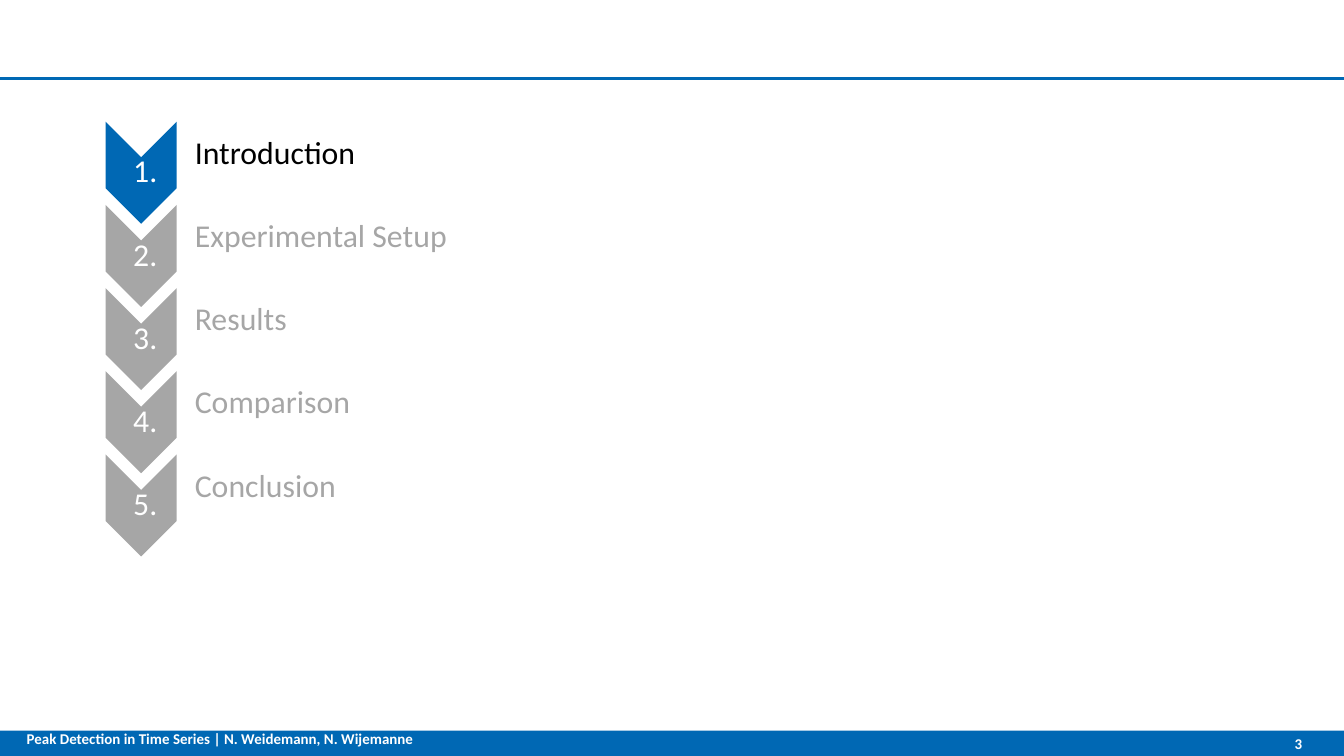
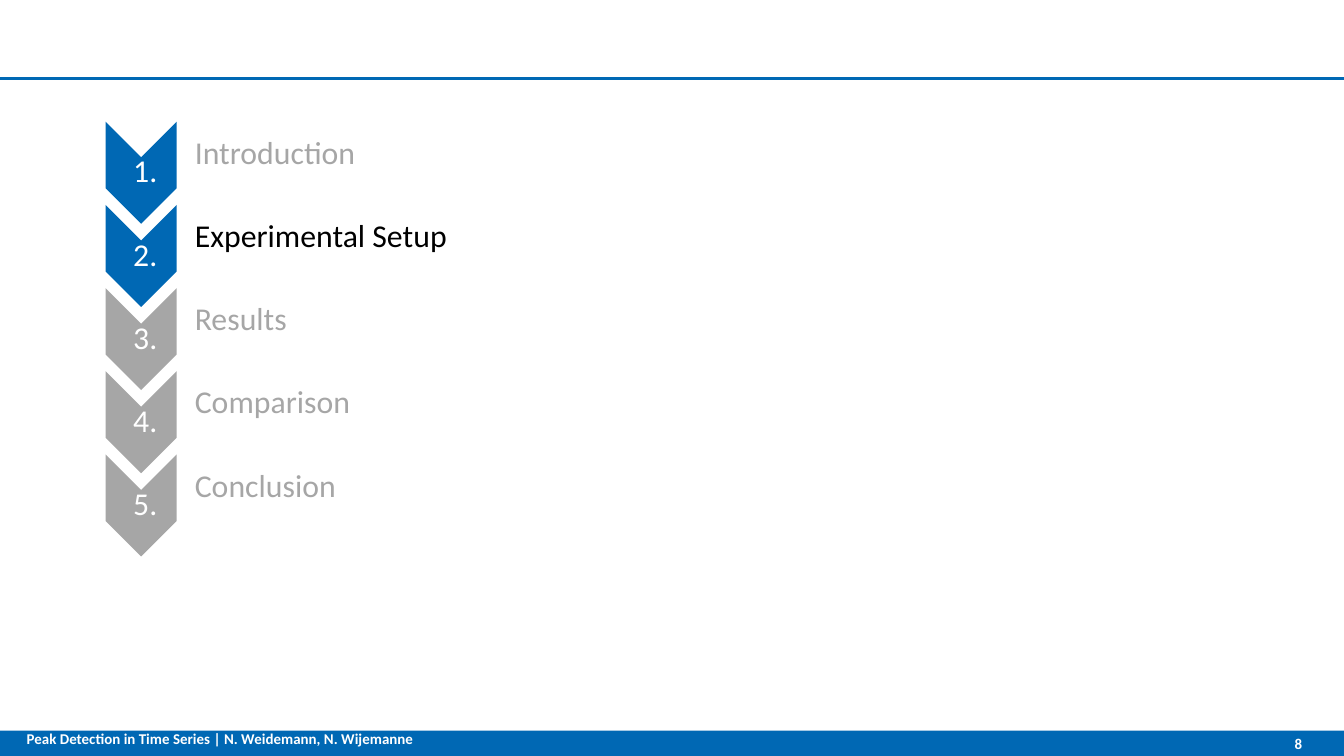
from dataclasses import dataclass, replace
from typing import NamedTuple

from lxml import etree
from pptx import Presentation
from pptx import util as u
from pptx.dml.color import RGBColor
from pptx.enum import shapes, text
from pptx.oxml import ns


@dataclass(frozen=True)
class Theme:
    font: str = "Calibri"
    blue: str = "0068B4"
    grey: str = "A6A6A6"
    black: str = "000000"
    white: str = "FFFFFF"
    agenda_size: float = 17
    footer_size: float = 8
    rule_width: float = 1.5


class Area(NamedTuple):
    """Lengths in percent of the slide's width and height."""
    left: float
    top: float
    width: float
    height: float


class Insets(NamedTuple):
    """Text margins in inches."""
    left: float
    top: float
    right: float
    bottom: float


@dataclass(frozen=True)
class TextStyle:
    size: float
    color: str
    insets: Insets
    bold: bool = False
    align: text.PP_ALIGN = text.PP_ALIGN.LEFT
    anchor: text.MSO_ANCHOR = text.MSO_ANCHOR.MIDDLE
    line_spacing: float = 1.0


class AgendaPage(NamedTuple):
    current: int
    number: int


THEME = Theme()
WIDTH, HEIGHT = u.Inches(10), u.Inches(5.625)

CHAPTERS = ("Introduction", "Experimental Setup", "Results", "Comparison", "Conclusion")
PAGES = (AgendaPage(current=0, number=3), AgendaPage(current=1, number=8))
FOOTER = "Peak Detection in Time Series | N. Weidemann, N. Wijemanne"

ROW = 11
CHEVRON = Area(7.85, 16.1, 5.3, 13.5)
NUMBER = Area(7.9, 20.8, 5.3, 4.1)
BAND = Area(13.2, 16.1, 79, 8.7)
LABEL = Area(13.2, 16.5, 78.7, 7.8)
RULE_TOP = 10.4
FOOTER_BAR = Area(0, 96.65, 100, 3.35)
FOOTER_TEXT = Area(1, 95.3, 43.4, 6)
PAGE_NUMBER = Area(87.5, 96.65, 9.4, 3.35)

NUMBER_STYLE = TextStyle(THEME.agenda_size, THEME.white, Insets(0.01, 0.01, 0.01, 0.01),
                         align=text.PP_ALIGN.CENTER, line_spacing=0.9)
LABEL_STYLE = TextStyle(THEME.agenda_size, THEME.grey, Insets(0.13, 0.01, 0.01, 0.01),
                        line_spacing=0.9)
FOOTER_STYLE = TextStyle(THEME.footer_size, THEME.white, Insets(0.1, 0.1, 0.1, 0.1),
                         bold=True, anchor=text.MSO_ANCHOR.TOP)
PAGE_NUMBER_STYLE = TextStyle(THEME.footer_size, THEME.white, Insets(0.1, 0.05, 0, 0.05),
                              bold=True, align=text.PP_ALIGN.RIGHT)


def across(percent: float) -> int:
    return round(WIDTH * percent / 100)


def down(percent: float) -> int:
    return round(HEIGHT * percent / 100)


def place(area: Area) -> tuple[int, int, int, int]:
    return across(area.left), down(area.top), across(area.width), down(area.height)


def in_row(area: Area, row: int) -> Area:
    return area._replace(top=area.top + row * ROW)


def add_filled(page, kind: shapes.MSO_SHAPE, area: Area, color: str, quarter_turn: bool = False):
    """Draw a shape that covers the area, also when it is turned by 90 degrees."""
    left, top, width, height = place(area)
    if quarter_turn:
        left += (width - height) // 2
        top += (height - width) // 2
        width, height = height, width
    shape = page.shapes.add_shape(kind, left, top, width, height)
    shape.rotation = 90 if quarter_turn else 0
    shape.shadow.inherit = False
    shape.fill.solid()
    shape.fill.fore_color.rgb = RGBColor.from_string(color)
    shape.line.fill.background()
    return shape


def set_opacity(shape, percent: int) -> None:
    color = shape._element.spPr.find(ns.qn("a:solidFill"))[0]
    etree.SubElement(color, ns.qn("a:alpha"), val=str(percent * 1000))


def add_text(page, area: Area, words: str, style: TextStyle) -> None:
    box = page.shapes.add_textbox(*place(area))
    frame = box.text_frame
    frame.word_wrap = True
    frame.vertical_anchor = style.anchor
    frame.margin_left, frame.margin_top, frame.margin_right, frame.margin_bottom = map(
        u.Inches, style.insets)
    frame.text = words
    para = frame.paragraphs[0]
    para.alignment = style.align
    para.line_spacing = style.line_spacing
    for span in para.runs:
        span.font.name = THEME.font
        span.font.size = u.Pt(style.size)
        span.font.bold = style.bold
        span.font.color.rgb = RGBColor.from_string(style.color)


def add_chapter(page, row: int, title: str, current: int) -> None:
    reached = row <= current
    add_filled(page, shapes.MSO_SHAPE.CHEVRON, in_row(CHEVRON, row),
               THEME.blue if reached else THEME.grey, quarter_turn=True)
    add_text(page, in_row(NUMBER, row), f" {row + 1}.", NUMBER_STYLE)
    band = add_filled(page, shapes.MSO_SHAPE.ROUND_2_SAME_RECTANGLE, in_row(BAND, row),
                      THEME.white, quarter_turn=True)
    set_opacity(band, 90)
    color = THEME.black if row == current else THEME.grey
    add_text(page, in_row(LABEL, row), title, replace(LABEL_STYLE, color=color))


def add_rule(page) -> None:
    rule = page.shapes.add_connector(shapes.MSO_CONNECTOR.STRAIGHT,
                                     WIDTH, down(RULE_TOP), 0, down(RULE_TOP))
    rule.line.color.rgb = RGBColor.from_string(THEME.blue)
    rule.line.width = u.Pt(THEME.rule_width)
    etree.SubElement(rule._element.spPr, ns.qn("a:effectLst"))


def add_agenda_page(deck, agenda: AgendaPage) -> None:
    page = deck.slides.add_slide(deck.slide_layouts[6])
    add_filled(page, shapes.MSO_SHAPE.RECTANGLE, FOOTER_BAR, THEME.blue)
    for row, title in enumerate(CHAPTERS):
        add_chapter(page, row, title, agenda.current)
    add_rule(page)
    add_text(page, FOOTER_TEXT, FOOTER, FOOTER_STYLE)
    add_text(page, PAGE_NUMBER, str(agenda.number), PAGE_NUMBER_STYLE)


def main() -> None:
    deck = Presentation()
    deck.slide_width, deck.slide_height = WIDTH, HEIGHT
    for agenda in PAGES:
        add_agenda_page(deck, agenda)
    deck.save("out.pptx")


if __name__ == "__main__":
    main()
